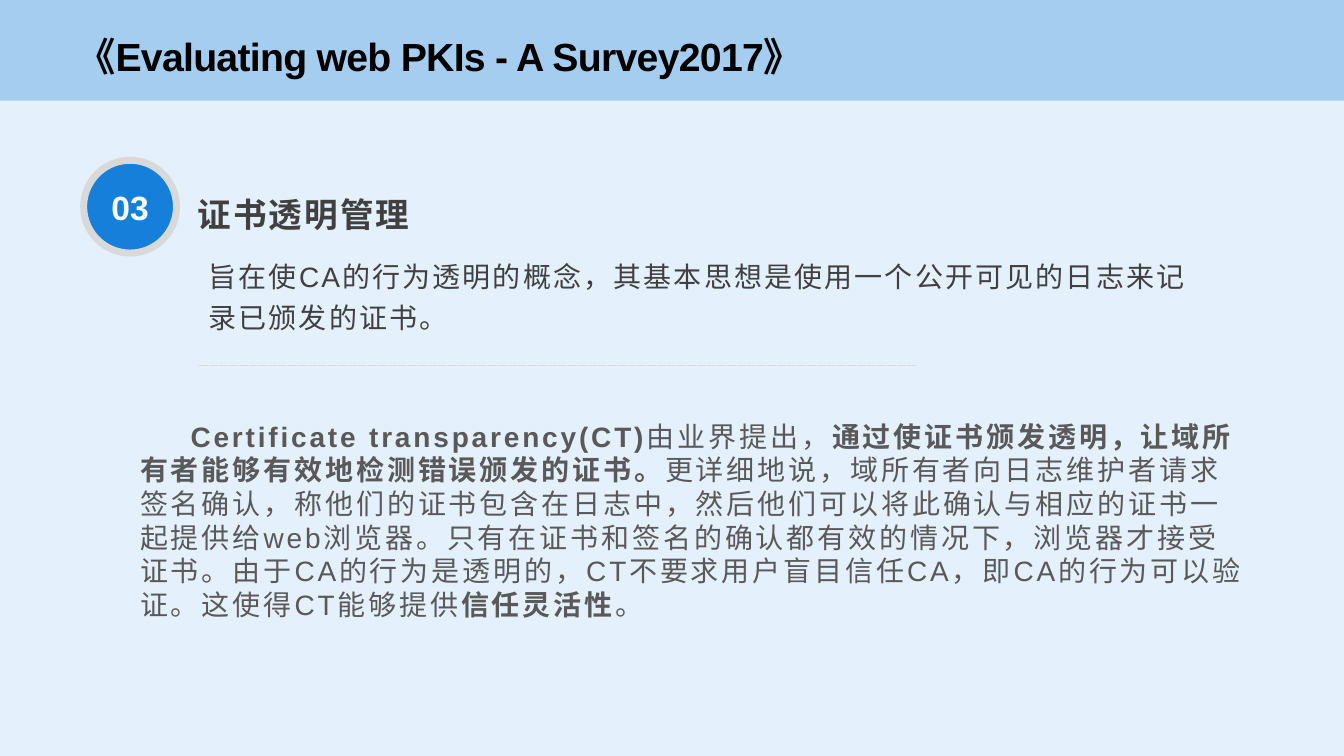
from pptx import Presentation
from pptx.dml.color import RGBColor
from pptx.enum.dml import MSO_LINE
from pptx.enum.lang import MSO_LANGUAGE_ID
from pptx.enum.shapes import MSO_CONNECTOR, MSO_SHAPE
from pptx.enum.text import MSO_ANCHOR, PP_ALIGN
from pptx.oxml.ns import qn
from pptx.util import Inches, Pt
from lxml import etree

RECT, OVAL = MSO_SHAPE.RECTANGLE, MSO_SHAPE.OVAL
STRAIGHT, DASH = MSO_CONNECTOR.STRAIGHT, MSO_LINE.DASH
TOP, BOTTOM = MSO_ANCHOR.TOP, MSO_ANCHOR.BOTTOM
LEFT, CENTER = PP_ALIGN.LEFT, PP_ALIGN.CENTER
CHINESE = MSO_LANGUAGE_ID.SIMPLIFIED_CHINESE

PALE = RGBColor(0xE4, 0xF0, 0xFB)
SKY = RGBColor(0xA5, 0xCD, 0xEF)
BLUE = RGBColor(0x15, 0x7F, 0xD9)
SILVER = RGBColor(0xD9, 0xD9, 0xD9)
DARK = RGBColor(0x40, 0x40, 0x40)
GRAY = RGBColor(0x59, 0x59, 0x59)
BLACK = RGBColor(0, 0, 0)
WHITE = RGBColor(0xFF, 0xFF, 0xFF)

WIDTH, HEIGHT = 13.33, 7.5
PADDING = (0.1, 0.05, 0.1, 0.05)

TITLE = "《Evaluating web PKIs - A Survey2017》"
HEADING = "证书透明管理"
SUMMARY = "旨在使CA的行为透明的概念，其基本思想是使用一个公开可见的日志来记录已颁发的证书。"
DETAIL = [
    ("Certificate transparency(CT)", True),
    ("由业界提出，", False),
    ("通过使证书颁发透明，让域所有者能够有效地检测错误颁发的证书。", True),
    ("更详细地说，域所有者向日志维护者请求签名确认，称他们的证书包含在日志中，"
     "然后他们可以将此确认与相应的证书一起提供给web浏览器。"
     "只有在证书和签名的确认都有效的情况下，浏览器才接受证书。"
     "由于CA的行为是透明的，CT不要求用户盲目信任CA，即CA的行为可以验证。"
     "这使得CT能够提供", False),
    ("信任灵活性", True),
    ("。", False),
]


def set_all(obj, values):
    for name, value in values.items():
        setattr(obj, name, value)


def add_text(s, box, runs, size, color, spacing=0, anchor=TOP, align=LEFT,
             padding=PADDING, line_spacing=1.0, indent=0):
    tf = s.shapes.add_textbox(*map(Inches, box)).text_frame
    left, top, right, bottom = map(Inches, padding)
    set_all(tf, dict(word_wrap=True, vertical_anchor=anchor, margin_left=left,
                     margin_top=top, margin_right=right, margin_bottom=bottom))
    p = tf.paragraphs[0]
    set_all(p, dict(alignment=align, line_spacing=line_spacing))
    if indent:
        p._p.get_or_add_pPr().set("indent", str(Inches(indent)))
    for text, bold in runs:
        r = p.add_run()
        r.text = text
        set_all(r.font, dict(name="Arial", size=Pt(size), bold=bold, language_id=CHINESE))
        r.font.color.rgb = color
        r._r.get_or_add_rPr().set("spc", str(int(spacing * 100)))


def add_filled(s, kind, box, fill, line=None, width=0):
    sp = s.shapes.add_shape(kind, *map(Inches, box))
    sp.shadow.inherit = False
    sp.fill.solid()
    sp.fill.fore_color.rgb = fill
    if line is None:
        sp.line.fill.background()
    else:
        sp.line.color.rgb = line
        sp.line.width = Pt(width)


def add_header(s, box):
    x, y, w, h = box
    add_filled(s, RECT, box, SKY)
    add_text(s, (x + 0.66, y + 0.17, w - 1.33, h - 0.33), [(TITLE, True)],
             28, BLACK, spacing=-0.5, anchor=BOTTOM)


def add_badge(s, box, number):
    x, y, w, h = box
    add_filled(s, OVAL, box, BLUE, SILVER, 5)
    add_text(s, (x + 0.11, y + 0.22, w - 0.22, h - 0.26), [(number, True)],
             24, WHITE, align=CENTER)


def add_divider(s, x, y, w):
    line = s.shapes.add_connector(STRAIGHT, *map(Inches, (x, y, x + w, y)))
    line.line.color.rgb = SILVER
    line.line.width = Pt(0.1)
    line.line.dash_style = DASH
    etree.SubElement(line._element.spPr, qn("a:effectLst"))


def add_topic(s, box):
    x, y, w, h = box
    add_divider(s, x + 1.14, y + h, 7.11)
    add_text(s, (x + 1.03, y + 0.16, 2.38, 0.57), [(HEADING, True)], 24, DARK,
             spacing=1.5, anchor=BOTTOM, padding=(0.1, 0.05, 0.1, 0), line_spacing=1.2)
    add_text(s, (x + 1.14, y + 0.92, w - 1.14, 0.82), [(SUMMARY, False)], 20, DARK,
             spacing=1.5, padding=(0.1, 0, 0.1, 0.05), line_spacing=1.2)
    add_badge(s, (x, y, 0.92, 0.92), "03")


def add_detail(s, box):
    add_text(s, box, DETAIL, 20, GRAY, spacing=2, padding=(0, 0, 0, 0), indent=0.5)


def main():
    prs = Presentation()
    set_all(prs, dict(slide_width=Inches(WIDTH), slide_height=Inches(HEIGHT)))
    s = prs.slides.add_slide(prs.slide_layouts[6])
    s.background.fill.solid()
    s.background.fill.fore_color.rgb = PALE
    add_header(s, (0, 0, WIDTH, 1))
    add_topic(s, (0.83, 1.59, 11.14, 2.03))
    add_detail(s, (1.39, 4.16, 10.96, 3.34))
    prs.save("out.pptx")


if __name__ == "__main__":
    main()
